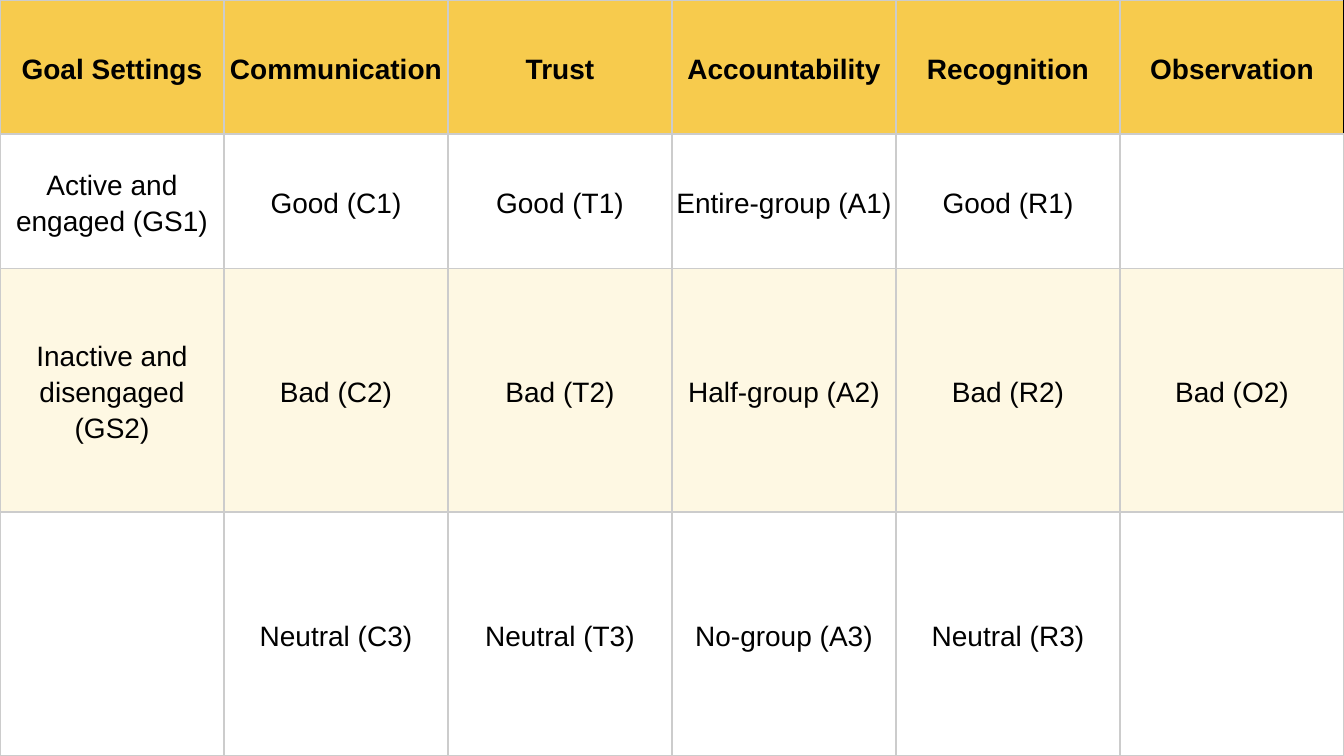
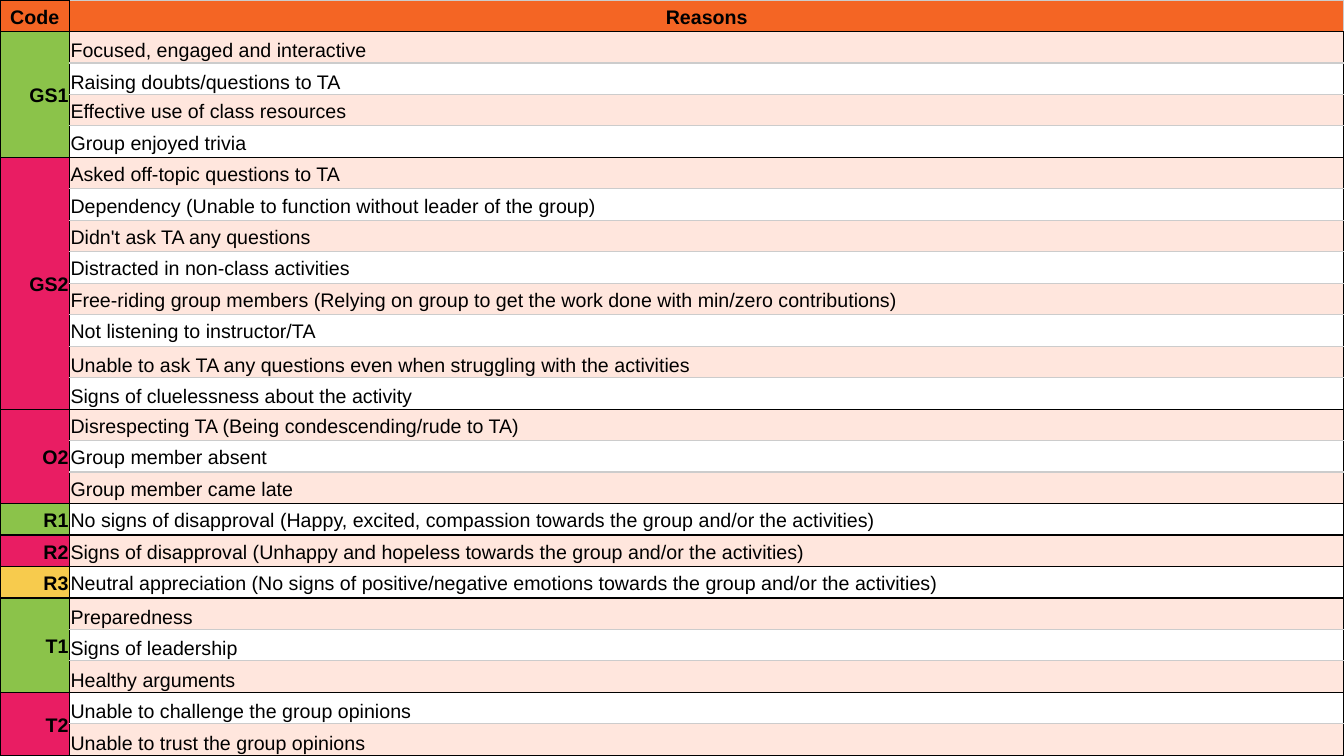
from dataclasses import dataclass
from lxml.etree import SubElement as Sub
from pptx import Presentation
from pptx.dml.color import RGBColor as Rgb
from pptx.enum.text import MSO_ANCHOR as Anchor, PP_ALIGN as Align
from pptx.oxml.ns import qn
from pptx.util import Inches, Pt

RATINGS = [
    ["Goal Settings", "Communication", "Trust", "Accountability", "Recognition", "Observation"],
    ["Active and engaged (GS1)", "Good (C1)", "Good (T1)", "Entire-group (A1)", "Good (R1)", ""],
    ["Inactive and disengaged (GS2)", "Bad (C2)", "Bad (T2)", "Half-group (A2)", "Bad (R2)", "Bad (O2)"],
    ["", "Neutral (C3)", "Neutral (T3)", "No-group (A3)", "Neutral (R3)", ""],
]
HEIGHTS = [1.33, 1.33, 2.42, 2.42]

HEADS = ["Code", "Reasons"]
GROUPS = [
    ("GS1", "good", [
        "Focused, engaged and interactive",
        "Raising doubts/questions to TA",
        "Effective use of class resources",
        "Group enjoyed trivia",
    ]),
    ("GS2", "bad", [
        "Asked off-topic questions to TA",
        "Dependency (Unable to function without leader of the group)",
        "Didn't ask TA any questions",
        "Distracted in non-class activities",
        "Free-riding group members (Relying on group to get the work done with min/zero contributions)",
        "Not listening to instructor/TA",
        "Unable to ask TA any questions even when struggling with the activities",
        "Signs of cluelessness about the activity",
    ]),
    ("O2", "bad", [
        "Disrespecting TA (Being condescending/rude to TA)",
        "Group member absent",
        "Group member came late",
    ]),
    ("R1", "good", [
        "No signs of disapproval (Happy, excited, compassion towards the group and/or the activities)",
    ]),
    ("R2", "bad", [
        "Signs of disapproval (Unhappy and hopeless towards the group and/or the activities)",
    ]),
    ("R3", "mixed", [
        "Neutral appreciation (No signs of positive/negative emotions towards the group and/or the activities)",
    ]),
    ("T1", "good", ["Preparedness", "Signs of leadership", "Healthy arguments"]),
    ("T2", "bad", [
        "Unable to challenge the group opinions",
        "Unable to trust the group opinions",
    ]),
]
LOW = {1, 2, 11, 12, *range(19, 24)}


@dataclass(frozen=True)
class Theme:
    font: str = "Arial"
    large: int = 20
    small: int = 14
    wide: float = 13.33
    high: float = 7.5
    code: float = 0.69
    black: str = "000000"
    white: str = "FFFFFF"
    gray: str = "CCCCCC"
    gold: str = "F7CB4D"
    cream: str = "FEF8E3"
    orange: str = "F46524"
    peach: str = "FFE6DD"
    green: str = "8BC34A"
    pink: str = "E91D63"


T = Theme()
TONES = {"good": T.green, "bad": T.pink, "mixed": T.gold}


def add_grid(deck, widths, heights):
    slide = deck.slides.add_slide(deck.slide_layouts[6])
    slide.background.fill.solid()
    slide.background.fill.fore_color.rgb = Rgb.from_string(T.black)
    frame = slide.shapes.add_table(
        len(heights), len(widths), 0, 0, Inches(T.wide), Inches(T.high))
    grid = frame.table
    grid.first_row = grid.horz_banding = False
    for col, width in zip(grid.columns, widths):
        col.width = Inches(width)
    for row, height in zip(grid.rows, heights):
        row.height = Inches(height)
    return grid


def style(cell, fill, edges, pad):
    props = cell._tc.get_or_add_tcPr()
    for side, color in zip("LRTB", edges):
        line = Sub(props, qn(f"a:ln{side}"), w=str(Pt(1)))
        paint = Sub(line, qn("a:solidFill"))
        Sub(paint, qn("a:srgbClr"), val=color)
    cell.fill.solid()
    cell.fill.fore_color.rgb = Rgb.from_string(fill)
    cell.margin_left = cell.margin_right = Inches(pad)
    cell.margin_top = cell.margin_bottom = Inches(pad)


def write(cell, text, size, bold=False, align=Align.CENTER, anchor=Anchor.MIDDLE):
    cell.vertical_anchor = anchor
    para = cell.text_frame.paragraphs[0]
    para.text = text
    para.alignment = align
    para.line_spacing = 1.15
    para.font.size = Pt(size)
    for run in para.runs:
        run.font.name = T.font
        run.font.size = Pt(size)
        run.font.bold = bold
        run.font.color.rgb = Rgb.from_string(T.black)


def add_ratings(deck):
    count = len(RATINGS[0])
    grid = add_grid(deck, [T.wide / count] * count, HEIGHTS)
    fills = [T.gold, T.white, T.cream, T.white]
    for r, row in enumerate(RATINGS):
        for c, text in enumerate(row):
            right = T.black if (r, c) == (0, count - 1) else T.gray
            cell = grid.cell(r, c)
            style(cell, fills[r], (T.gray, right, T.gray, T.gray), 0.03)
            write(cell, text, T.large, bold=r == 0)


def add_reasons(deck):
    count = 1 + sum(len(items) for _, _, items in GROUPS)
    grid = add_grid(deck, [T.code, T.wide - T.code], [T.high / count] * count)
    box = (T.black,) * 4
    for c, edges in enumerate([box, (T.black, T.gray, T.gray, T.black)]):
        cell = grid.cell(0, c)
        style(cell, T.orange, edges, 0.01)
        write(cell, HEADS[c], T.small, bold=True)
    top = 1
    for code, tone, items in GROUPS:
        last = top + len(items) - 1
        for r, text in enumerate(items, top):
            style(grid.cell(r, 0), TONES[tone], box, 0.01)
            cell = grid.cell(r, 1)
            above = T.black if r == top else T.gray
            below = T.black if r == last else T.gray
            style(cell, T.peach if r % 2 else T.white, (T.black, T.black, above, below), 0.01)
            anchor = Anchor.BOTTOM if r in LOW else Anchor.MIDDLE
            write(cell, text, T.small, align=Align.LEFT, anchor=anchor)
        head = grid.cell(top, 0)
        if last > top:
            head.merge(grid.cell(last, 0))
        write(head, code, T.small, bold=True, align=Align.RIGHT)
        top = last + 1


def main():
    deck = Presentation()
    deck.slide_width = Inches(T.wide)
    deck.slide_height = Inches(T.high)
    add_ratings(deck)
    add_reasons(deck)
    deck.save("out.pptx")


if __name__ == "__main__":
    main()
